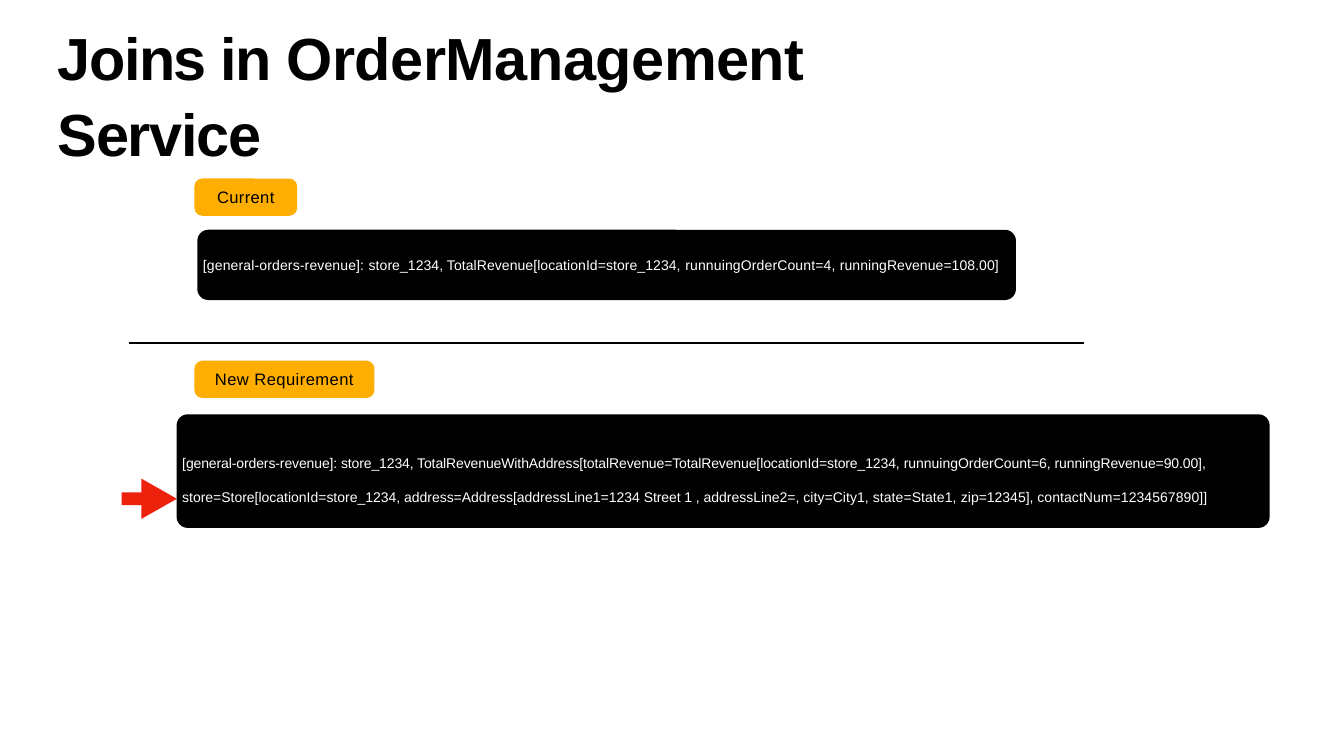
from dataclasses import dataclass

from lxml.etree import SubElement
from pptx import Presentation
from pptx.dml.color import RGBColor
from pptx.enum.shapes import MSO_CONNECTOR, MSO_SHAPE
from pptx.enum.text import MSO_ANCHOR, PP_ALIGN
from pptx.oxml.ns import qn
from pptx.util import Cm, Pt


@dataclass(frozen=True)
class Theme:
    font: str = "Arial"
    black: RGBColor = RGBColor(0x00, 0x00, 0x00)
    white: RGBColor = RGBColor(0xFF, 0xFF, 0xFF)
    amber: RGBColor = RGBColor(0xFE, 0xAE, 0x00)
    red: RGBColor = RGBColor(0xED, 0x22, 0x0D)
    title_size: float = 70
    label_size: float = 19.5
    code_size: float = 16.5


theme = Theme()


def write_text(shape, paragraphs, *, size, color, bold=False, align=PP_ALIGN.LEFT,
               anchor=MSO_ANCHOR.MIDDLE, left=0, top=0, line_spacing=1.0, gap=0):
    frame = shape.text_frame
    frame.word_wrap = True
    frame.vertical_anchor = anchor
    frame.margin_left, frame.margin_top = Cm(left), Cm(top)
    frame.margin_right = frame.margin_bottom = 0
    for index, spans in enumerate(paragraphs):
        para = frame.add_paragraph() if index else frame.paragraphs[0]
        para.alignment = align
        para.line_spacing = line_spacing
        if index:
            para.space_before = Pt(gap)
        for text, tracking in spans:
            span = para.add_run()
            span.text = text
            span.font.name = theme.font
            span.font.size = Pt(size)
            span.font.bold = bold
            span.font.color.rgb = color
            span.font._element.set("spc", str(round(tracking * 100)))


def add_filled(kind, left, top, width, height, color):
    shape = page.shapes.add_shape(kind, Cm(left), Cm(top), Cm(width), Cm(height))
    shape.shadow.inherit = False
    shape.fill.solid()
    shape.fill.fore_color.rgb = color
    shape.line.fill.background()
    return shape


deck = Presentation()
deck.slide_width, deck.slide_height = Cm(55.85), Cm(31.42)
page = deck.slides.add_slide(deck.slide_layouts[6])

title = page.shapes.add_textbox(Cm(2.41), Cm(0.64), Cm(39.9), Cm(6.1))
write_text(
    title,
    [[("Joins in ", -1.8), ("OrderManagement ", -0.57), ("Service", -1.6)]],
    size=theme.title_size, color=theme.black, bold=True,
    anchor=MSO_ANCHOR.TOP, top=0.03, line_spacing=1.07,
)

labels = [
    ("Current", 7.42, 4.27, 0.4),
    ("New Requirement", 14.99, 7.48, 0.5),
]
for text, top, width, tracking in labels:
    label = add_filled(MSO_SHAPE.ROUNDED_RECTANGLE, 8.08, top, width, 1.55, theme.amber)
    label.adjustments[0] = 0.33 / 1.55
    write_text(label, [[(text, tracking)]], size=theme.label_size,
               color=theme.black, align=PP_ALIGN.CENTER)

current_record = [[
    ("[general-orders-revenue]: ", 0.2),
    ("store_1234, TotalRevenue[locationId=store_1234, ", 0.1),
    ("runnuingOrderCount=4, ", 0.2),
    ("runningRevenue=108.00]", 0.1),
]]
required_record = [
    [
        ("[general-orders-revenue]: store_1234, TotalRevenueWithAddress"
         "[totalRevenue=TotalRevenue[locationId=store_1234, ", -0.1),
        ("runnuingOrderCount=6, ", 0),
        ("runningRevenue=90.00],", -0.1),
    ],
    [
        ("store=Store[locationId=store_1234, address=Address[addressLine1=1234 ", 0),
        ("Street 1 ", -0.1),
        (", addressLine2=, ", 0),
        ("city=City1, state=State1, ", 0.1),
        ("zip=12345], ", 0),
        ("contactNum=1234567890]]", 0.1),
    ],
]
panels = [
    (current_record, 8.2, 9.55, 34.02, 2.92, 0),
    (required_record, 7.34, 17.22, 45.42, 4.72, 0.73),
]
for record, left, top, width, height, inset in panels:
    panel = add_filled(MSO_SHAPE.ROUNDED_RECTANGLE, left, top, width, height, theme.black)
    panel.adjustments[0] = 0.46 / height
    write_text(panel, record, size=theme.code_size, color=theme.white,
               left=0.1, top=inset, gap=21)

divider = page.shapes.add_connector(
    MSO_CONNECTOR.STRAIGHT, Cm(5.36), Cm(14.25), Cm(45.05), Cm(14.25))
divider.line.color.rgb = theme.black
divider.line.width = Pt(1.65)
SubElement(divider._element.spPr, qn("a:effectLst"))

arrow = add_filled(MSO_SHAPE.RIGHT_ARROW, 5.05, 19.89, 2.3, 1.68, theme.red)
arrow.adjustments[0] = 0.32
arrow.adjustments[1] = 0.88

deck.save("out.pptx")
